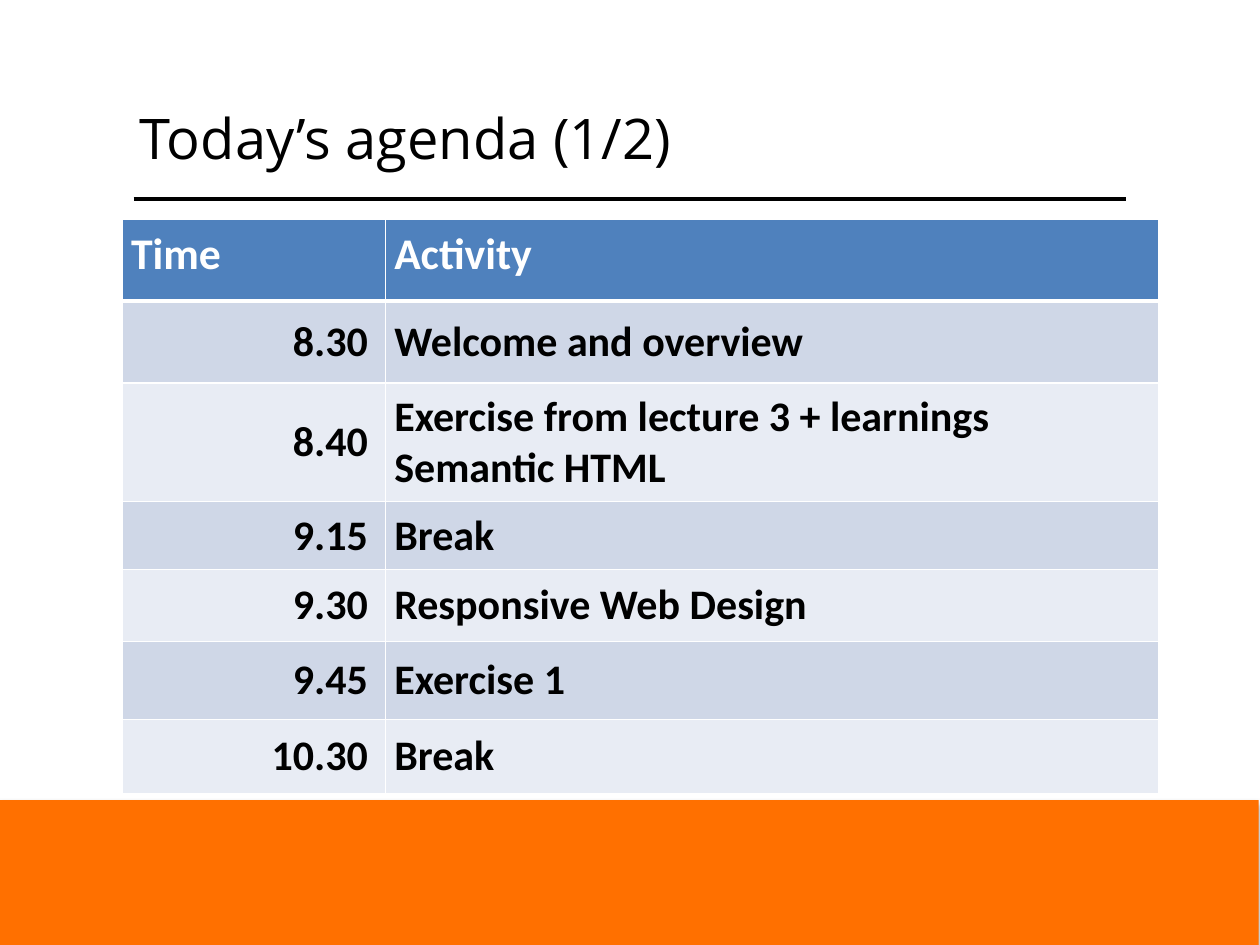
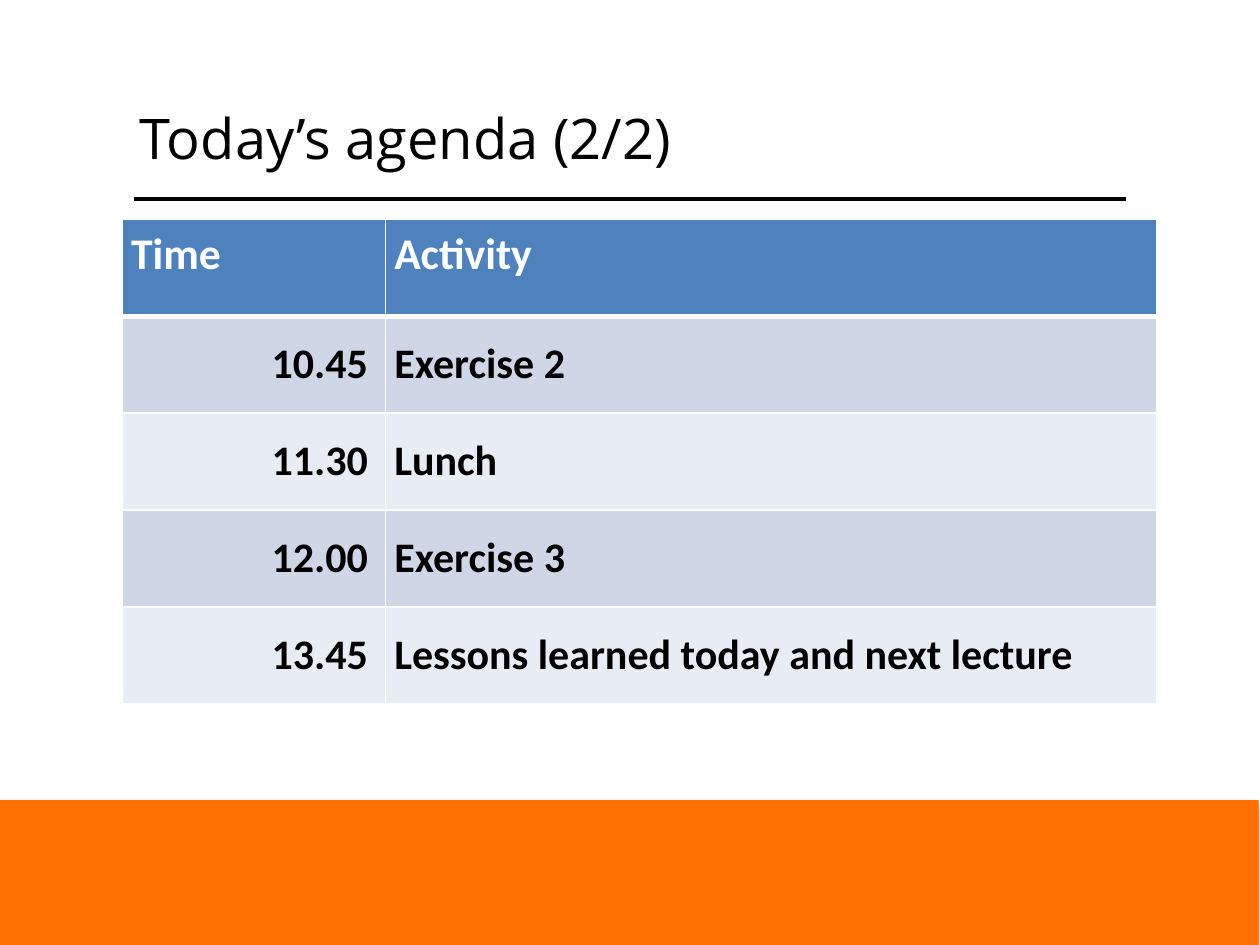
from lxml import etree
from pptx import Presentation, util as u
from pptx.dml.color import RGBColor
from pptx.enum import shapes, text
from pptx.oxml.ns import qn

HEAD = ("Time", "Activity")
# Each slide: title, column widths, then rows of (height, time, activity lines)
SLIDES = [
    ("Today’s agenda (1/2)", (2.09, 6.14), 0.65, [
        (0.65, "8.30", ["Welcome and overview"]),
        (0.94, "8.40", ["Exercise from lecture 3 + learnings", "Semantic HTML"]),
        (0.54, "9.15", ["Break"]),
        (0.57, "9.30", ["Responsive Web Design"]),
        (0.62, "9.45", ["Exercise 1"]),
        (0.59, "10.30", ["Break"]),
    ]),
    ("Today’s agenda (2/2)", (2.09, 6.12), 0.77, [
        (0.77, "10.45", ["Exercise 2"]),
        (0.77, "11.30", ["Lunch"]),
        (0.77, "12.00", ["Exercise 3"]),
        (0.77, "13.45", ["Lessons learned today and next lecture"]),
    ]),
]
HEX = {"ink": "000000", "paper": "FFFFFF", "band": "FF7000",
       "head": "4F81BD", "odd": "CFD7E7", "even": "E8ECF4"}
WIDE, HIGH = 10, 7.5
EDGE = 1.06
RULE_Y = 1.58
BAND_Y = 6.35
GRID = (0.97, 1.74)
PAD = 0.07


def color(name):
    return RGBColor.from_string(HEX[name])


def box(*sides):
    return [u.Inches(side) for side in sides]


def write(para, lines, font, size, ink, bold=False):
    for num, line in enumerate(lines):
        if num:
            para.add_line_break()
        run = para.add_run()
        run.text = line
        run.font.name, run.font.size, run.font.bold = font, u.Pt(size), bold
        run.font.color.rgb = color(ink)


def add_band(slide):
    band = slide.shapes.add_shape(
        shapes.MSO_SHAPE.RECTANGLE, *box(-0.01, BAND_Y, WIDE, 1.18))
    band.fill.solid()
    band.fill.fore_color.rgb = color("band")
    band.line.fill.background()
    band.shadow.inherit = False
    glow = etree.SubElement(
        band.element.spPr.find(qn("a:effectLst")), qn("a:outerShdw"),
        blurRad=str(u.Pt(3)), dist=str(u.Pt(1.6)), dir="5400000", rotWithShape="0")
    tint = etree.SubElement(glow, qn("a:srgbClr"), val=HEX["ink"])
    etree.SubElement(tint, qn("a:alpha"), val="38000")


def add_rule(slide):
    rule = slide.shapes.add_connector(
        shapes.MSO_CONNECTOR.STRAIGHT, *box(EDGE, RULE_Y, WIDE - EDGE, RULE_Y))
    rule.line.color.rgb = color("ink")
    rule.line.width = u.Pt(2.25)
    etree.SubElement(rule.element.spPr, qn("a:effectLst"))


def add_title(slide, title):
    frame = slide.shapes.add_textbox(
        *box(EDGE, 0.3, WIDE - 2 * EDGE, 1.58)).text_frame
    frame.word_wrap = True
    frame.vertical_anchor = text.MSO_ANCHOR.MIDDLE
    frame.margin_left = frame.margin_right = u.Inches(0.05)
    frame.margin_top = frame.margin_bottom = u.Inches(0.05)
    write(frame.paragraphs[0], [title], "Open Sans", 32, "ink")


def add_edges(cell, row):
    """White cell borders, heavier between the header and the first row."""
    heavy = {(0, "B"), (1, "T")}
    for side in "LRTB":
        width = 3 if (row, side) in heavy else 1
        line = etree.SubElement(
            cell._tc.get_or_add_tcPr(), qn("a:ln" + side), w=str(u.Pt(width)))
        fill = etree.SubElement(line, qn("a:solidFill"))
        etree.SubElement(fill, qn("a:srgbClr"), val=HEX["paper"])


def fill_cell(cell, row, col, lines):
    head = row == 0
    add_edges(cell, row)
    cell.fill.solid()
    cell.fill.fore_color.rgb = color("head" if head else "odd" if row % 2 else "even")
    cell.margin_left = cell.margin_right = u.Inches(PAD)
    cell.margin_top = cell.margin_bottom = u.Inches(PAD)
    para = cell.text_frame.paragraphs[0]
    if not head:
        cell.vertical_anchor = text.MSO_ANCHOR.MIDDLE
        if col == 0:
            para.alignment = text.PP_ALIGN.RIGHT
            cell.margin_right = u.Inches(2 * PAD)
    write(para, lines, "Calibri", 25 if head else 24, "paper" if head else "ink", True)


def add_agenda(slide, cols, top, items):
    rows = [(top, HEAD[0], [HEAD[1]])] + items
    high = sum(row[0] for row in rows)
    table = slide.shapes.add_table(
        len(rows), len(cols), *box(*GRID, sum(cols), high)).table
    for col, wide in enumerate(cols):
        table.columns[col].width = u.Inches(wide)
    for num, (tall, time, lines) in enumerate(rows):
        table.rows[num].height = u.Inches(tall)
        fill_cell(table.cell(num, 0), num, 0, [time])
        fill_cell(table.cell(num, 1), num, 1, lines)


def main():
    deck = Presentation()
    deck.slide_width, deck.slide_height = box(WIDE, HIGH)
    for title, cols, top, items in SLIDES:
        slide = deck.slides.add_slide(deck.slide_layouts[6])
        add_band(slide)
        add_rule(slide)
        add_title(slide, title)
        add_agenda(slide, cols, top, items)
    deck.save("out.pptx")


if __name__ == "__main__":
    main()
